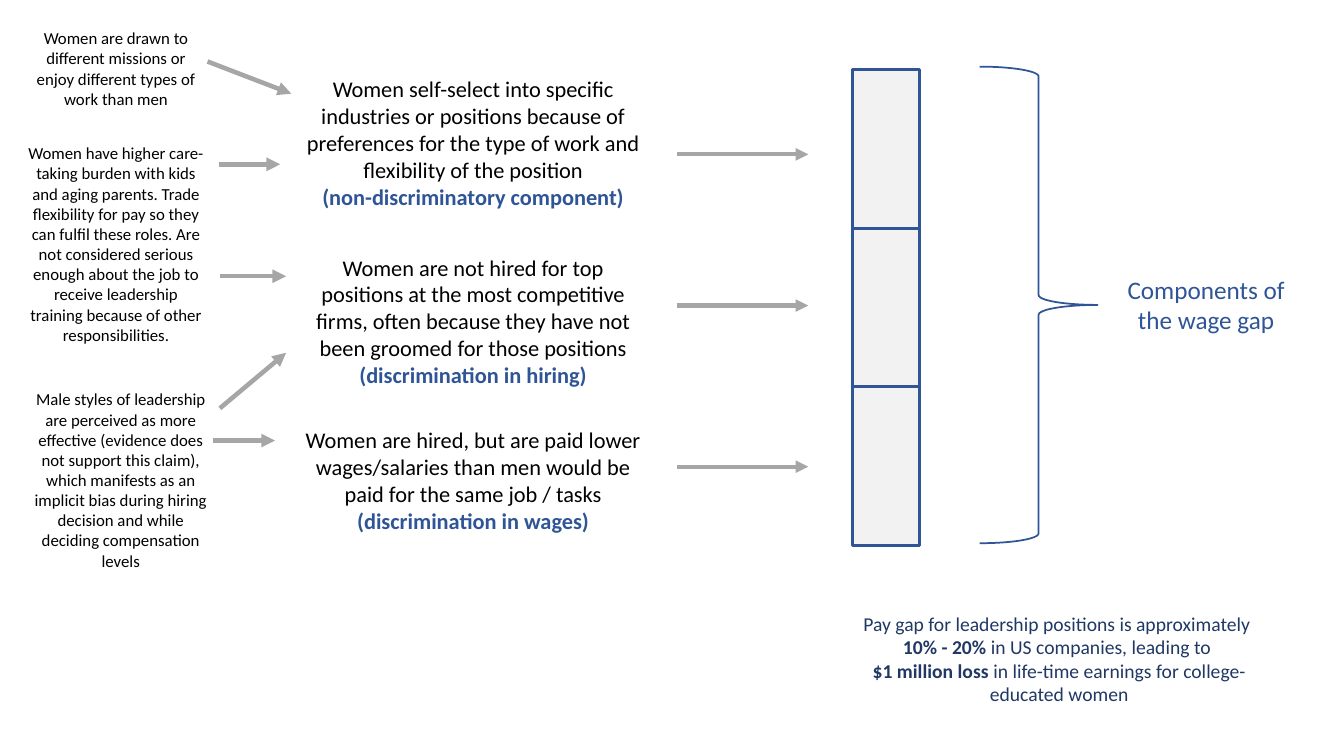
"""Build a slide that breaks the wage gap into its components and their causes."""
from lxml import etree
from pptx import Presentation
from pptx.dml.color import RGBColor
from pptx.enum import shapes, text
from pptx.oxml.ns import qn
from pptx.util import Cm, Pt

BLACK = RGBColor(0x00, 0x00, 0x00)
BLUE = RGBColor(0x2F, 0x55, 0x97)
NAVY = RGBColor(0x20, 0x38, 0x64)
GREY = RGBColor(0xA6, 0xA6, 0xA6)
PALE = RGBColor(0xF2, 0xF2, 0xF2)
FONT = "Calibri"
BREAK = "\n"

CAUSES = [
    ((0.46, 0.58, 4.93, 2.31),
     "Women are drawn to different missions or enjoy different types of work than men"),
    ((0.46, 3.48, 4.93, 5.38),
     "Women have higher care-taking burden with kids and aging parents. Trade flexibility "
     "for pay so they can fulfil these roles. Are not considered serious enough about the "
     "job to receive leadership training because of other responsibilities."),
    ((0.58, 9.68, 4.93, 4.88),
     "Male styles of leadership are perceived as more effective (evidence does not support "
     "this claim), which manifests as an implicit bias during hiring decision and while "
     "deciding compensation levels"),
]
COMPONENTS = [
    ((7.34, 1.78, 9.17, 3.68),
     [["Women self-select into specific industries or positions because of preferences for "
       "the type of work and flexibility of the position"],
      ["*(non-discriminatory component)"]]),
    ((7.34, 6.27, 9.17, 3.68),
     [["Women are not hired for top positions at the most competitive firms, often because "
       "they have not been groomed for those positions ",
       "*(discrimination in hiring)"]]),
    ((7.34, 10.62, 9.17, 3.0),
     [["Women are hired, but are paid lower wages/salaries than men would be paid for the "
       "same job / tasks"],
      ["*(discrimination in wages)"]]),
]
BRACE_LABEL = ((28.12, 6.78, 4.55, 1.8), [["Components of the wage gap"]])
PAY_GAP = ((21.21, 15.29, 10.97, 2.64),
           [["Pay gap for leadership positions is approximately ", BREAK,
             "*10% - 20% ", "in US companies, leading to ", BREAK,
             "*$1 million loss ", "in life-time earnings for college-educated women"]])

CAUSE_ARROWS = [
    (5.23, 1.55, 7.34, 2.36),
    (5.51, 4.14, 7.06, 4.14),
    (5.54, 6.96, 7.21, 6.96),
    (5.54, 10.29, 7.21, 8.89),
    (5.36, 11.1, 6.93, 11.1),
]
BAR_ARROWS = [(17.07, y, 20.37, y) for y in (3.89, 7.7, 11.76)]
BAR_LEFT, BAR_TOP, BAR_WIDTH, BAR_HEIGHT = 21.49, 1.75, 1.68, 4.0
BRACE = (24.69, 1.68, 2.97, 12.01)


def add_text(slide, box, paragraphs, size, color, accent):
    """Add a centred text box; runs that start with * are bold in the accent colour."""
    frame = slide.shapes.add_textbox(*map(Cm, box)).text_frame
    frame.word_wrap = True
    frame.auto_size = text.MSO_AUTO_SIZE.SHAPE_TO_FIT_TEXT
    for index, pieces in enumerate(paragraphs):
        paragraph = frame.add_paragraph() if index else frame.paragraphs[0]
        paragraph.alignment = text.PP_ALIGN.CENTER
        paragraph.font.name = FONT
        paragraph.font.size = Pt(size)
        paragraph.font.color.rgb = color
        for piece in pieces:
            if piece == BREAK:
                paragraph.add_line_break()
                continue
            run = paragraph.add_run()
            run.text = piece.removeprefix("*")
            if piece.startswith("*"):
                run.font.bold = True
                run.font.color.rgb = accent


def add_arrow(slide, ends, width):
    """Add a grey arrow without shadow."""
    arrow = slide.shapes.add_connector(shapes.MSO_CONNECTOR.STRAIGHT, *map(Cm, ends))
    arrow.line.color.rgb = GREY
    arrow.line.width = Pt(width)
    properties = arrow._element.spPr
    etree.SubElement(properties.find(qn("a:ln")), qn("a:tailEnd"), type="triangle")
    etree.SubElement(properties, qn("a:effectLst"))


def add_outline(slide, kind, box, width, fill=None):
    """Add a blue-outlined preset shape, filled only if a colour is given."""
    shape = slide.shapes.add_shape(kind, *map(Cm, box))
    shape.shadow.inherit = False
    shape.line.color.rgb = BLUE
    shape.line.width = Pt(width)
    if fill is None:
        shape.fill.background()
    else:
        shape.fill.solid()
        shape.fill.fore_color.rgb = fill


presentation = Presentation()
presentation.slide_width = Cm(33.87)
presentation.slide_height = Cm(19.05)
slide = presentation.slides.add_slide(presentation.slide_layouts[6])

for row in range(len(COMPONENTS)):
    bar = (BAR_LEFT, BAR_TOP + row * BAR_HEIGHT, BAR_WIDTH, BAR_HEIGHT)
    add_outline(slide, shapes.MSO_SHAPE.RECTANGLE, bar, 2, PALE)
add_outline(slide, shapes.MSO_SHAPE.RIGHT_BRACE, BRACE, 1.25)

for box, cause in CAUSES:
    add_text(slide, box, [[cause]], 12, BLACK, BLUE)
for box, paragraphs in COMPONENTS:
    add_text(slide, box, paragraphs, 16, BLACK, BLUE)
add_text(slide, *BRACE_LABEL, 18, BLUE, BLUE)
add_text(slide, *PAY_GAP, 14, NAVY, NAVY)

for ends in CAUSE_ARROWS:
    add_arrow(slide, ends, 3.25)
for ends in BAR_ARROWS:
    add_arrow(slide, ends, 3)

presentation.save("out.pptx")
